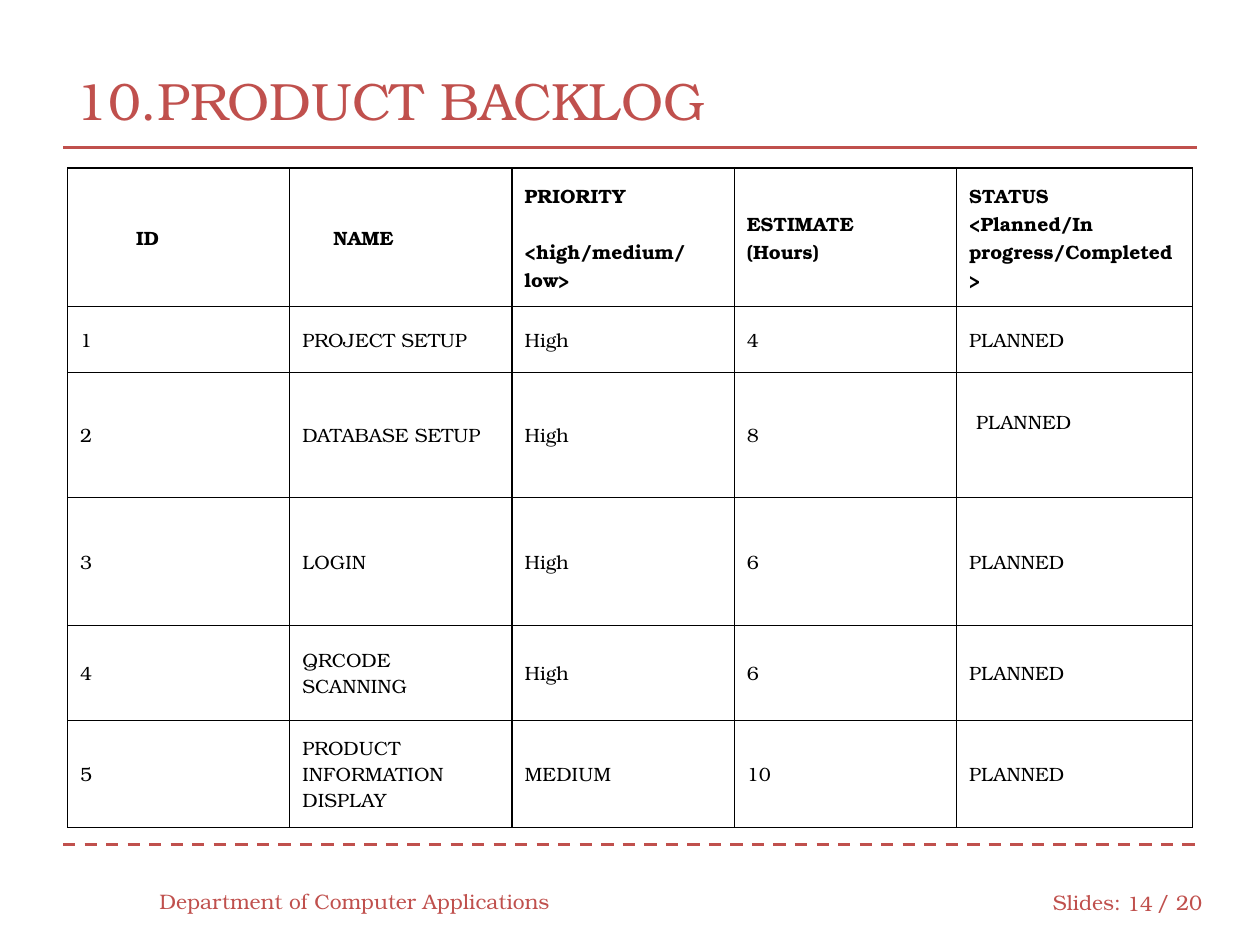
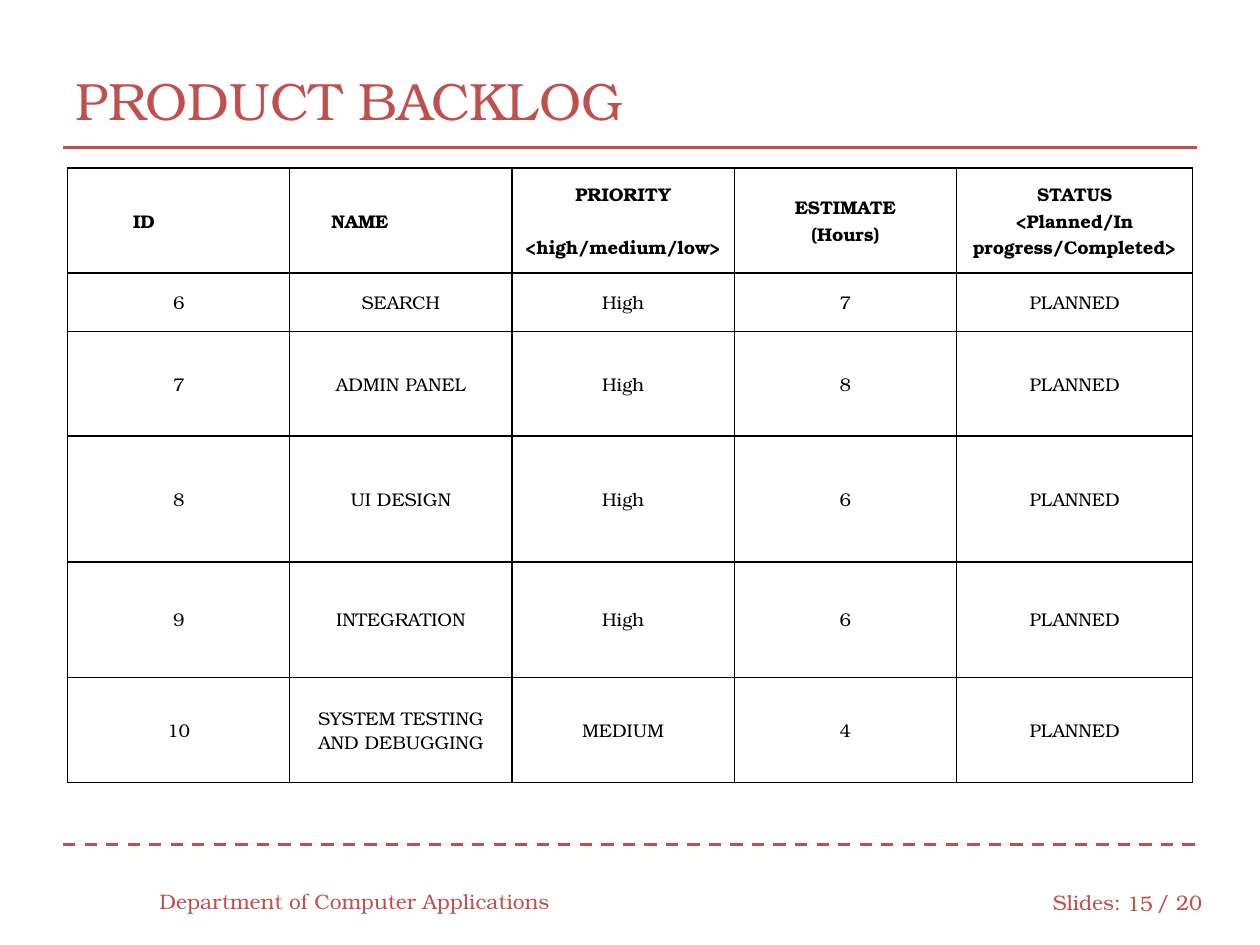
"""Build two product backlog slides with a shared frame and bordered tables."""
from lxml import etree
from pptx import Presentation
from pptx.dml.color import RGBColor
from pptx.enum.dml import MSO_LINE
from pptx.enum.shapes import MSO_CONNECTOR
from pptx.enum.text import MSO_ANCHOR, MSO_AUTO_SIZE, PP_ALIGN
from pptx.oxml import parse_xml
from pptx.oxml.ns import nsdecls, qn
from pptx.util import Pt

LEFT, RIGHT = PP_ALIGN.LEFT, PP_ALIGN.RIGHT
CENTER, JUST = PP_ALIGN.CENTER, PP_ALIGN.JUSTIFY
MIDDLE = MSO_ANCHOR.MIDDLE
FIXED = MSO_AUTO_SIZE.NONE
DASH = MSO_LINE.DASH
LINE = MSO_CONNECTOR.STRAIGHT

FONT = "TeX Gyre Bonum"
RED, BLACK, WHITE = "C0504D", "000000", "FFFFFF"
TITLE_SIZE, FOOT_SIZE = 30, 12
PAD = 7.2
COLS = [127, 127, 127, 127, 135]
HEAD = [
    ["ID"],
    ["NAME"],
    ["PRIORITY", "<high/medium/low>"],
    ["ESTIMATE", "(Hours)"],
    ["STATUS", "<Planned/In progress/Completed>"],
]


def color(code):
    return RGBColor.from_string(code)


class Deck:
    def __init__(self):
        self.prs = Presentation()
        self.prs.slide_width, self.prs.slide_height = Pt(720), Pt(540)
        self.slide = None

    def style(self, para, size, code, align=LEFT, bold=False):
        para.alignment = align
        font = para.font
        font.name, font.size, font.bold = FONT, Pt(size), bold
        font.color.rgb = color(code)

    def fill(self, frame, text, size, align=LEFT):
        frame.word_wrap = True
        frame.auto_size = FIXED
        frame.vertical_anchor = MIDDLE
        frame.text = text
        self.style(frame.paragraphs[0], size, RED, align)

    def text(self, text, left, top, width, align=LEFT):
        box = self.slide.shapes.add_textbox(Pt(left), Pt(top), Pt(width), Pt(29))
        self.fill(box.text_frame, text, FOOT_SIZE, align)

    def rule(self, top, dash=None):
        line = self.slide.shapes.add_connector(LINE, Pt(36), Pt(top), Pt(684), Pt(top))
        line.line.color.rgb = color(RED)
        line.line.width = Pt(1.75)
        line.line.dash_style = dash
        etree.SubElement(line._element.spPr, qn("a:effectLst"))

    def page(self, title, number):
        self.slide = self.prs.slides.add_slide(self.prs.slide_layouts[5])
        head = self.slide.shapes.title
        head.left, head.top, head.width, head.height = Pt(36), Pt(24), Pt(648), Pt(66)
        self.fill(head.text_frame, title, TITLE_SIZE)
        self.rule(84.25)
        self.rule(482.4, DASH)
        self.text("Department of Computer Applications", 84, 500.5, 240)
        self.text("Slides:", 594.5, 501, 54)
        self.text(str(number), 635.5, 501.5, 30.5, RIGHT)
        self.text("/ 20", 654, 501, 42)

    def border(self, cell):
        props = cell._tc.get_or_add_tcPr()
        for spot, side in enumerate("LRTB"):
            props.insert(spot, parse_xml(
                f'<a:ln{side} {nsdecls("a")} w="{Pt(0.75)}"><a:solidFill>'
                f'<a:srgbClr val="{BLACK}"/></a:solidFill></a:ln{side}>'))

    def indent(self, cell, gap):
        para = cell.text_frame.paragraphs[0]
        para._p.get_or_add_pPr().set("marL", str(Pt(gap)))
        para.alignment = LEFT

    def cell(self, cell, lines, size, pitch, align, bold):
        cell.fill.solid()
        cell.fill.fore_color.rgb = color(WHITE)
        self.border(cell)
        cell.vertical_anchor = MIDDLE
        cell.margin_left = cell.margin_right = Pt(PAD)
        cell.margin_top = cell.margin_bottom = Pt(PAD)
        cell.text = "\n".join(lines)
        for para in cell.text_frame.paragraphs:
            self.style(para, size, BLACK, align, bold)
            para.line_spacing = Pt(pitch)

    def table(self, rows, highs, size, pitches, align, gaps):
        shape = self.slide.shapes.add_table(
            len(highs), len(COLS), Pt(38.6), Pt(96), Pt(sum(COLS)), Pt(sum(highs)))
        grid = shape.table
        grid.first_row = grid.horz_banding = False
        for col, width in zip(grid.columns, COLS):
            col.width = Pt(width)
        for row, high in zip(grid.rows, highs):
            row.height = Pt(high)
        body = [[[item] for item in row] for row in rows]
        for r, row in enumerate([HEAD] + body):
            top = r == 0
            for c, lines in enumerate(row):
                self.cell(grid.cell(r, c), lines, size, pitches[0 if top else 1], align, top)
        for c, gap in enumerate(gaps):
            self.indent(grid.cell(0, c), gap)
        grid.cell(0, 2).text_frame.paragraphs[1].space_before = Pt(pitches[0])
        return grid


def main():
    deck = Deck()
    deck.page("10.PRODUCT BACKLOG", 14)
    grid = deck.table([
        ["1", "PROJECT SETUP", "High", "4", "PLANNED"],
        ["2", "DATABASE SETUP", "High", "8", "PLANNED"],
        ["3", "LOGIN", "High", "6", "PLANNED"],
        ["4", "QRCODE SCANNING", "High", "6", "PLANNED"],
        ["5", "PRODUCT INFORMATION DISPLAY", "MEDIUM", "10", "PLANNED"],
    ], [79, 38, 71.4, 73, 54.2, 61.4], 11, (16.1, 14.9), JUST, (32, 17.7))
    late = grid.cell(2, 4)
    deck.indent(late, 4)
    late.margin_bottom = Pt(PAD + 15)

    deck.page("PRODUCT BACKLOG", 15)
    deck.table([
        ["6", "SEARCH", "High", "7", "PLANNED"],
        ["7", "ADMIN PANEL", "High", "8", "PLANNED"],
        ["8", "UI DESIGN", "High", "6", "PLANNED"],
        ["9", "INTEGRATION", "High", "6", "PLANNED"],
        ["10", "SYSTEM TESTING AND DEBUGGING", "MEDIUM", "4", "PLANNED"],
    ], [60, 33.7, 59.5, 72, 66, 60], 10.5, (15.1, 13.7), CENTER, (30.3, 16.6))
    deck.prs.save("out.pptx")


if __name__ == "__main__":
    main()
